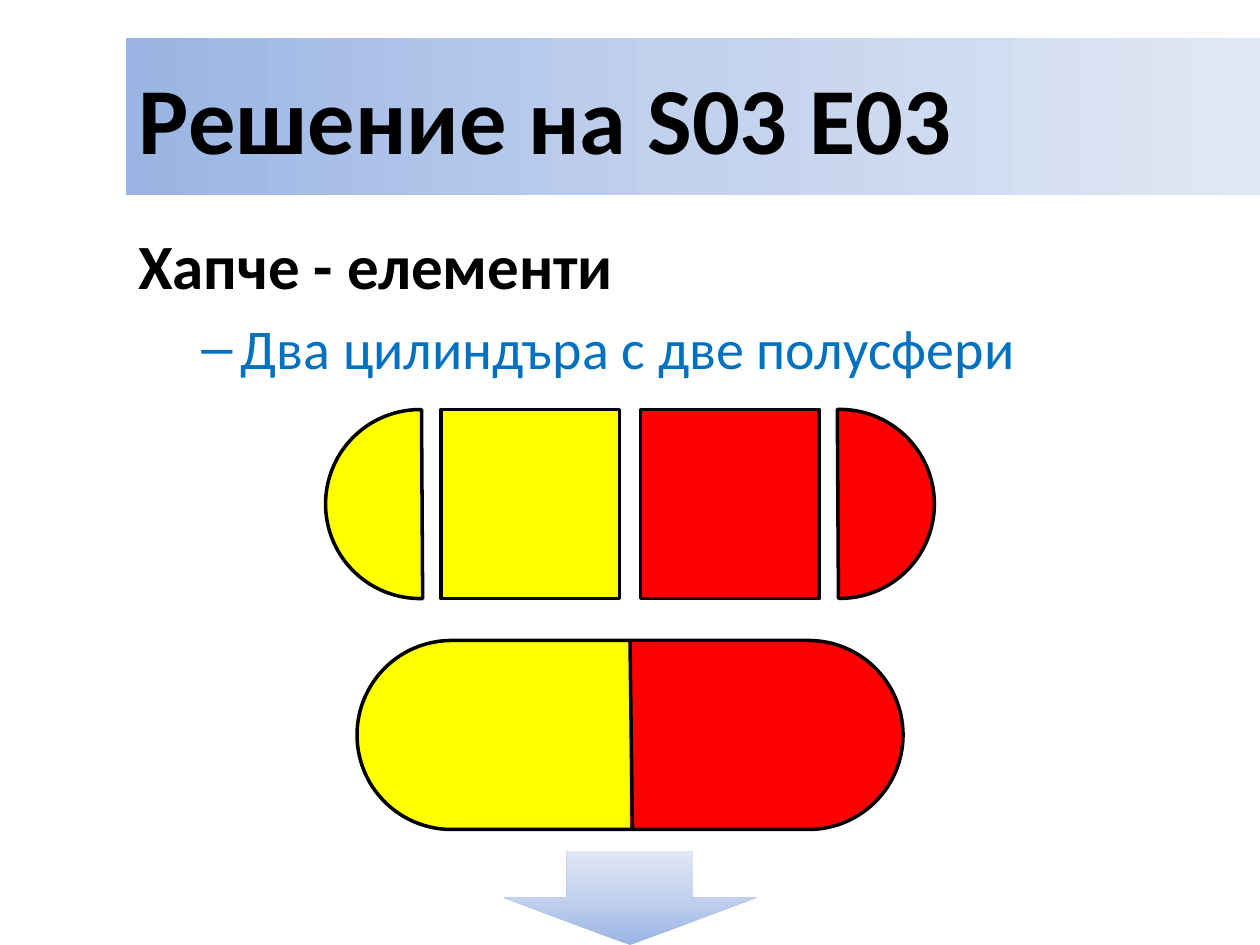
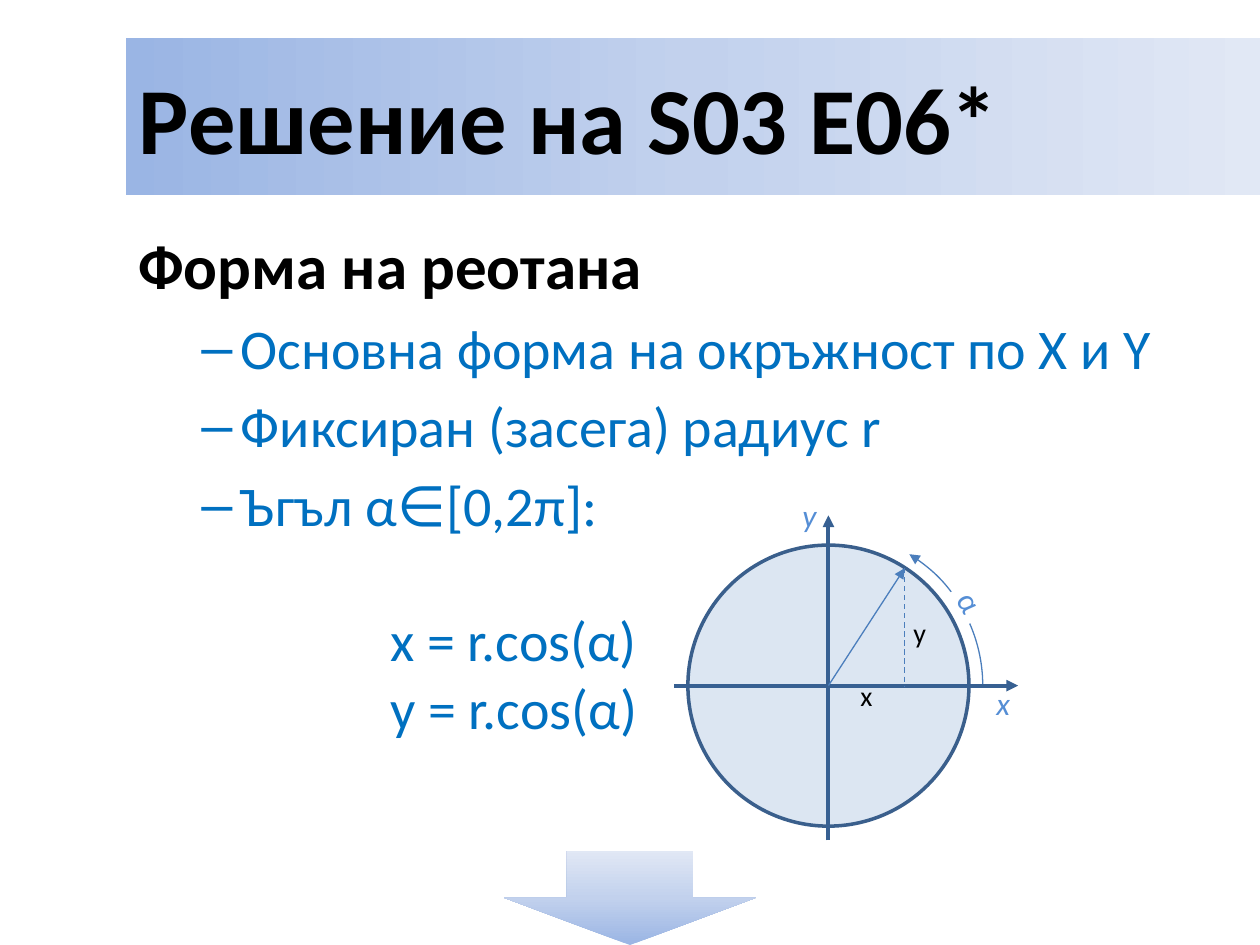
from copy import deepcopy
from pptx import Presentation
from pptx.dml.color import RGBColor
from pptx.enum import dml, shapes, text
from pptx.oxml.ns import qn
from pptx.util import Pt
from lxml import etree

SHAPE = shapes.MSO_SHAPE
FONT = "Calibri"
BLACK, BLUE, PALE = "000000", "0070C0", "558ED5"
YELLOW, RED = "FFFF00", "FF0000"
AXIS, THIN = "376092", "4B7EBC"
GRADIENT = ["9AB5E4", "C2D1ED", "E1E8F5"]


def rgb(value):
    return RGBColor.from_string(value)


def add_shape(s, kind, x, y, w, h, fill=None, line=None, width=2):
    sp = s.shapes.add_shape(kind, Pt(x), Pt(y), Pt(w), Pt(h))
    sp.shadow.inherit = False
    if fill:
        sp.fill.solid()
        sp.fill.fore_color.rgb = rgb(fill)
    else:
        sp.fill.background()
    if line:
        sp.line.color.rgb = rgb(line)
        sp.line.width = Pt(width)
    else:
        sp.line.fill.background()
    return sp


prs = Presentation()
prs.slide_width, prs.slide_height = Pt(720), Pt(540)

# Wording: title, heading, bulleted points, formulas
contents = [
    ("Решение на S03 E03", "Хапче - елементи",
     ["Два цилиндъра с две полусфери"], []),
    ("Решение на S03 E06*", "Форма на реотана",
     ["Основна форма на окръжност по X и Y", "Фиксиран (засега) радиус r",
      "Ъгъл α∈[0,2π]:"],
     ["x = r.cos(α)", "y = r.cos(α)"]),
]

# Shared parts: title band, body text, arrow at the bottom
for title, heading, points, formulas in contents:
    s = prs.slides.add_slide(prs.slide_layouts[5])
    band = s.shapes.title
    band.left, band.top, band.width, band.height = Pt(72), Pt(21.6), Pt(648), Pt(90)
    tf = band.text_frame
    tf.auto_size = text.MSO_AUTO_SIZE.NONE
    tf.vertical_anchor = text.MSO_ANCHOR.MIDDLE
    p = tf.paragraphs[0]
    p.alignment = text.PP_ALIGN.LEFT
    r = p.add_run()
    r.text = title
    r.font.name, r.font.size, r.font.bold = FONT, Pt(54), True
    r.font.color.rgb = rgb(BLACK)

    arrow = add_shape(s, SHAPE.DOWN_ARROW, 288, 486, 144, 54)
    for sp, angle in [(band, 0), (arrow, 90)]:
        sp.fill.gradient()
        sp.fill.gradient_angle = angle
        stops = sp._element.spPr.find(".//" + qn("a:gsLst"))
        stops.insert(1, deepcopy(stops[0]))
        for i, stop in enumerate(sp.fill.gradient_stops):
            stop.position = i / 2
            stop.color.rgb = rgb(GRADIENT[i])

    tf = s.shapes.add_textbox(Pt(72), Pt(126), Pt(648), Pt(402)).text_frame
    tf.word_wrap = True
    lines = [(heading, "heading")] + [(t, "point") for t in points]
    lines += [(t, "formula") for t in formulas]
    for i, (words, role) in enumerate(lines):
        p = tf.add_paragraph() if i else tf.paragraphs[0]
        r = p.add_run()
        r.text = words
        r.font.name = FONT
        r.font.bold = role == "heading"
        r.font.size = Pt(36 if role == "heading" else 32)
        r.font.color.rgb = rgb(BLACK if role == "heading" else BLUE)
        pPr = p._p.get_or_add_pPr()
        if role == "heading":
            p.space_before = Pt(7.2)
        elif role == "point":
            p.space_before = Pt(6.4)
            pPr.set("marL", str(Pt(58.5)))
            pPr.set("indent", str(Pt(-22.5)))
            etree.SubElement(pPr, qn("a:buFont")).set("typeface", "Arial")
            etree.SubElement(pPr, qn("a:buChar")).set("char", "–")
        else:
            p.space_before = Pt(39 if words == formulas[0] else 0)
            pPr.set("marL", str(Pt(144)))

pill_slide, circle_slide = prs.slides

# Pill: separate parts above, joined parts below, mirrored about the middle
MIDDLE, CAP, BODY = 360, 108, 102
for top, reach, gap, outline in [(234, 174, 6, BLACK), (366, 156, 0, None)]:
    for fill, cap_x, body_x, turn in [
            (YELLOW, MIDDLE - reach, MIDDLE - gap - BODY, 180),
            (RED, MIDDLE + reach - CAP, MIDDLE + gap, 0)]:
        cap = add_shape(pill_slide, SHAPE.CHORD, cap_x, top, CAP, CAP, fill, outline)
        cap.adjustments[0], cap.adjustments[1] = 161.06, 54.52
        cap.rotation = turn
        add_shape(pill_slide, SHAPE.RECTANGLE, body_x, top, BODY, CAP, fill, outline)
hull = add_shape(pill_slide, SHAPE.ROUNDED_RECTANGLE, 204, 366, 312, CAP, line=BLACK)
hull.adjustments[0] = 0.5

# Circle with its angle arc
CX, CY = 473.4, 391.8
arc = add_shape(circle_slide, SHAPE.ARC, CX - 88.2, CY - 88.2, 176.4, 176.4,
                line=THIN, width=0.75)
arc.adjustments[0], arc.adjustments[1] = 107.75, 143.03
arc._element.spPr.find(qn("a:xfrm")).set("flipH", "1")
etree.SubElement(arc.line._get_or_add_ln(), qn("a:tailEnd")).set("type", "triangle")
alpha = add_shape(circle_slide, SHAPE.RECTANGLE, 544.3, 331.9, 20.9, 23.8, "FFFFFF")
alpha.rotation = 59.8
add_shape(circle_slide, SHAPE.OVAL, CX - 80.3, CY - 80.3, 160.6, 160.6,
          "DCE6F2", "3A5F8C")

# Axes, radius and dashed height: from, to, colour, width, arrowhead
PX, PY = 517, 324.7
for x1, y1, x2, y2, colour, width, pointed in [
        (385.2, CY, 581.8, CY, AXIS, 2.25, True),
        (CX, 480.2, CX, 294.5, AXIS, 2.25, True),
        (CX, CY, PX, PY, THIN, 0.75, True),
        (PX, PY, PX, CY, THIN, 0.75, False)]:
    line = circle_slide.shapes.add_connector(
        shapes.MSO_CONNECTOR.STRAIGHT, Pt(x1), Pt(y1), Pt(x2), Pt(y2))
    line.line.color.rgb = rgb(colour)
    line.line.width = Pt(width)
    if pointed:
        etree.SubElement(line.line._get_or_add_ln(),
                         qn("a:tailEnd")).set("type", "triangle")
    else:
        line.line.dash_style = dml.MSO_LINE.DASH
    etree.SubElement(line._element.spPr, qn("a:effectLst"))

# Divider of the joined pill
divider = pill_slide.shapes.add_connector(
    shapes.MSO_CONNECTOR.STRAIGHT, Pt(360), Pt(366), Pt(361.4), Pt(474))
divider.line.color.rgb = rgb(BLACK)
divider.line.width = Pt(2)
etree.SubElement(divider._element.spPr, qn("a:effectLst"))

# Labels of the circle
labels = [(alpha, "α", 18, PALE, False)]
for x, y, w, h, words, size, colour, italic in [
        (484.6, 384.5, 22.3, 26.6, "x", 16, BLACK, False),
        (514.8, 348.5, 22.3, 26.6, "y", 16, BLACK, False),
        (451.4, 280.1, 24.5, 28.8, "y", 18, PALE, True),
        (562.3, 387.4, 24.5, 28.8, "x", 18, PALE, True)]:
    box = circle_slide.shapes.add_textbox(Pt(x), Pt(y), Pt(w), Pt(h))
    labels.append((box, words, size, colour, italic))
for sp, words, size, colour, italic in labels:
    tf = sp.text_frame
    tf.word_wrap = False
    p = tf.paragraphs[0]
    r = p.add_run()
    r.text = words
    r.font.name, r.font.size, r.font.italic = FONT, Pt(size), italic
    r.font.color.rgb = rgb(colour)

prs.save("out.pptx")
